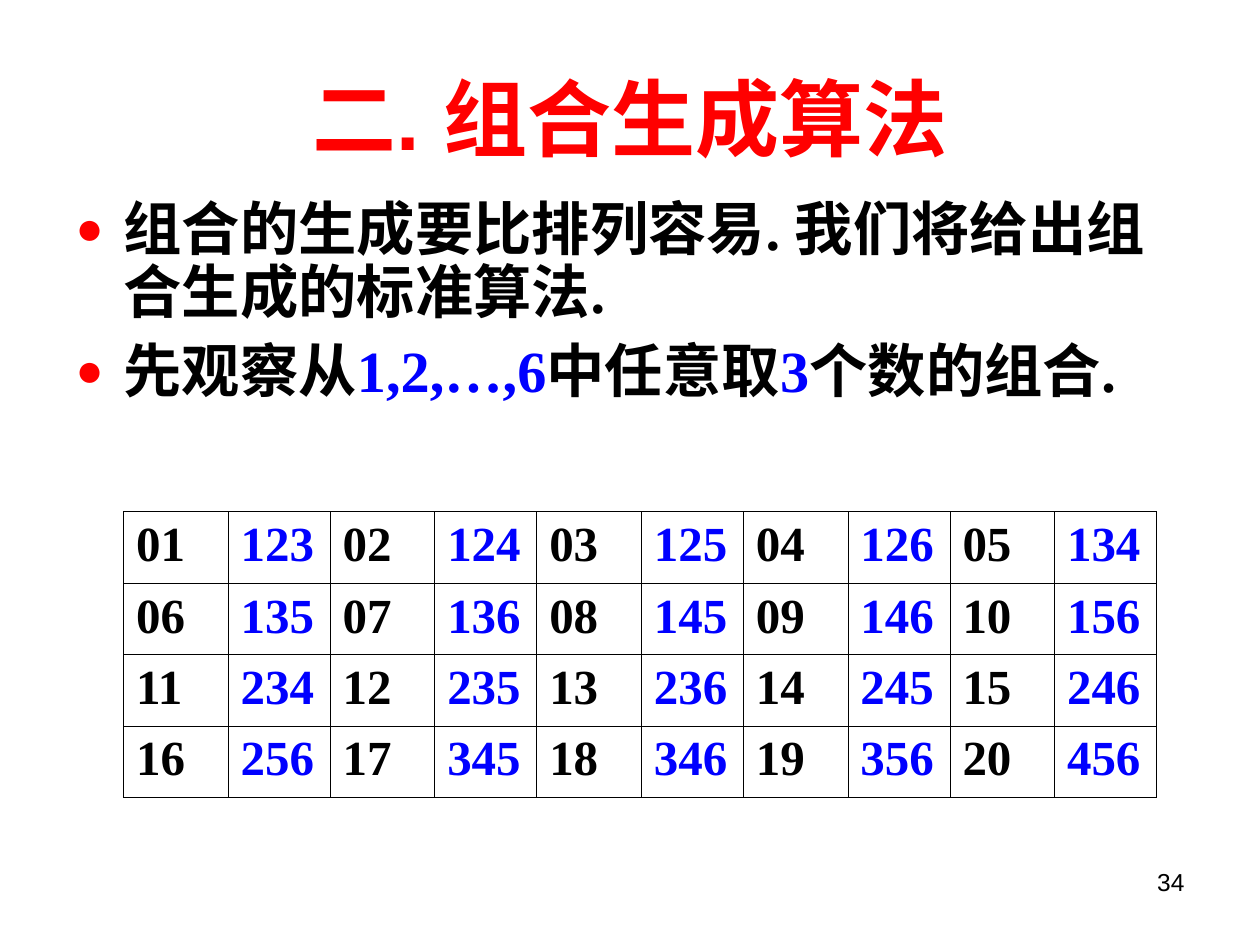
from dataclasses import dataclass
from itertools import combinations

from lxml import etree
from pptx import Presentation
from pptx.dml.color import RGBColor
from pptx.enum.text import MSO_ANCHOR, MSO_AUTO_SIZE, PP_ALIGN
from pptx.oxml import parse_xml
from pptx.oxml.ns import nsdecls, qn
from pptx.util import Inches, Pt

LEFT, CENTER, RIGHT = PP_ALIGN.LEFT, PP_ALIGN.CENTER, PP_ALIGN.RIGHT
TOP, MIDDLE = MSO_ANCHOR.TOP, MSO_ANCHOR.MIDDLE
FIXED = MSO_AUTO_SIZE.NONE


@dataclass(frozen=True)
class Theme:
    red: str = "FF0000"
    blue: str = "0000FF"
    black: str = "000000"
    sans: str = "Arial"
    serif: str = "Times New Roman"
    head: float = 48
    body: float = 33.3
    cell: float = 28
    page: float = 14


theme = Theme()


def write(para, text, size, font=theme.serif, color=theme.black, bold=True, align=LEFT):
    para.alignment = align
    run = para.add_run()
    run.text = text
    run.font.size = Pt(size)
    run.font.name = font
    run.font.bold = bold
    run.font.color.rgb = RGBColor.from_string(color)


def place(shape, left, top, width, height):
    shape.left, shape.top = Inches(left), Inches(top)
    shape.width, shape.height = Inches(width), Inches(height)
    shape.text_frame.word_wrap = True
    shape.text_frame.auto_size = FIXED
    return shape.text_frame


deck = Presentation()
deck.slide_width, deck.slide_height = Inches(10), Inches(7.5)
slide = deck.slides.add_slide(deck.slide_layouts[1])
title, body = slide.placeholders

frame = place(title, 0.5, 0.3, 9, 1.25)
frame.vertical_anchor = MIDDLE
write(frame.paragraphs[0], "二. 组合生成算法", theme.head,
      font=theme.sans, color=theme.red, align=CENTER)

points = [
    [("组合的生成要比排列容易. 我们将给出组合生成的标准算法.", theme.black)],
    [("先观察从", theme.black), ("1,2,…,6", theme.blue), ("中任意取", theme.black),
     ("3", theme.blue), ("个数的组合.", theme.black)],
]
frame = place(body, 0.5, 1.54, 8.99, 2.05)
frame.vertical_anchor = TOP
for i, parts in enumerate(points):
    para = frame.add_paragraph() if i else frame.paragraphs[0]
    props = para._p.get_or_add_pPr()
    props.set("marL", str(Inches(0.38)))
    props.set("indent", str(-Inches(0.38)))
    tint = etree.SubElement(props, qn("a:buClr"))
    etree.SubElement(tint, qn("a:srgbClr"), val=theme.red)
    etree.SubElement(props, qn("a:buSzPct"), val="80000")
    etree.SubElement(props, qn("a:buChar"), char="●")
    para.line_spacing = 0.9
    para.space_before = Pt(9 if i else 0)
    for text, color in parts:
        write(para, text, theme.body, color=color)

rows, pairs = 4, 5
grid = slide.shapes.add_table(rows, pairs * 2, Inches(0.98), Inches(4.06),
                              Inches(8.19), Inches(2.27)).table
grid.first_row = grid.horz_banding = False
for i, col in enumerate(grid.columns):
    col.width = Inches(0.81 if i % 2 else 0.83)
for i, combo in enumerate(combinations("123456", 3)):
    row, pair = divmod(i, pairs)
    items = [(f"{i + 1:02}", theme.black), ("".join(combo), theme.blue)]
    for j, (text, color) in enumerate(items):
        cell = grid.cell(row, pair * 2 + j)
        cell.fill.background()
        write(cell.text_frame.paragraphs[0], text, theme.cell, color=color)
        props = cell._tc.get_or_add_tcPr()
        for k, side in enumerate("LRTB"):
            props.insert(k, parse_xml(
                f'<a:ln{side} {nsdecls("a")} w="{Pt(0.45)}"><a:solidFill>'
                f'<a:srgbClr val="{theme.black}"/></a:solidFill></a:ln{side}>'))

page = slide.shapes.add_textbox(0, 0, 0, 0)
frame = place(page, 7.17, 6.83, 2.33, 0.52)
write(frame.paragraphs[0], "34", theme.page, font=theme.sans, bold=False, align=RIGHT)

deck.save("out.pptx")
